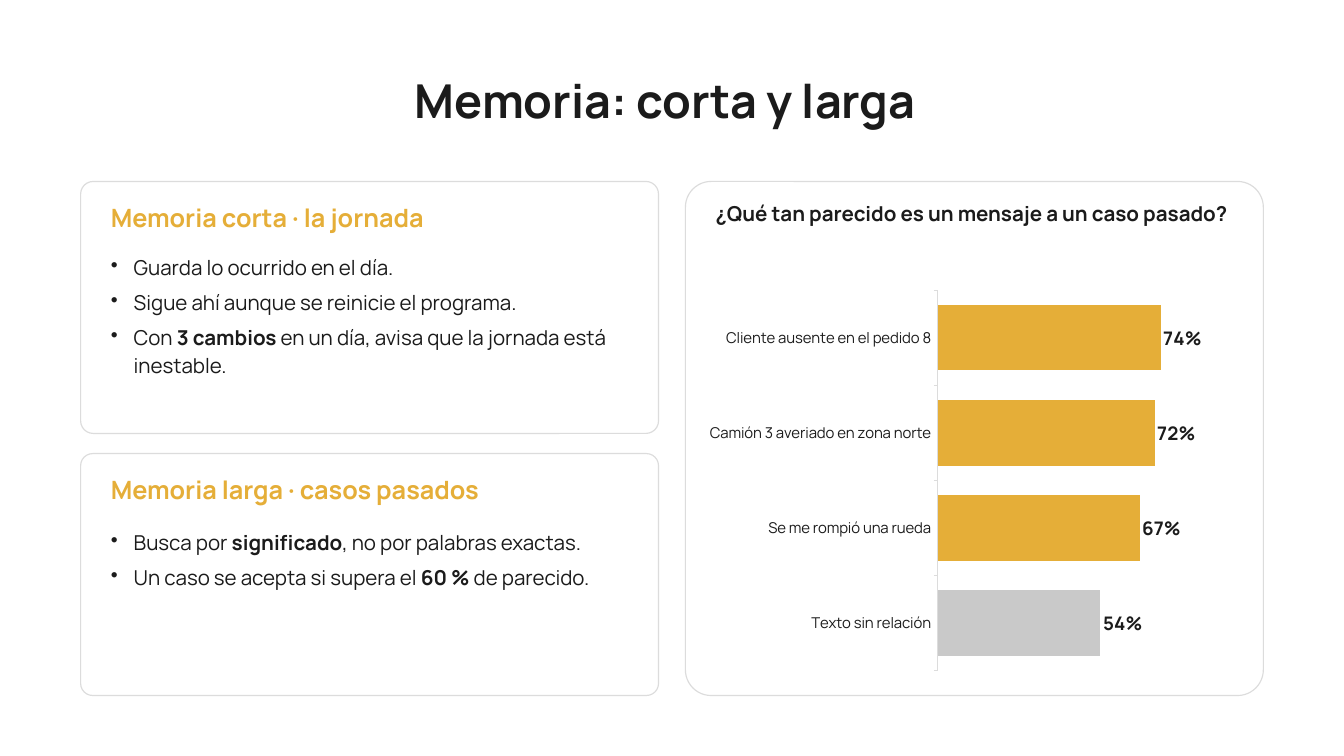
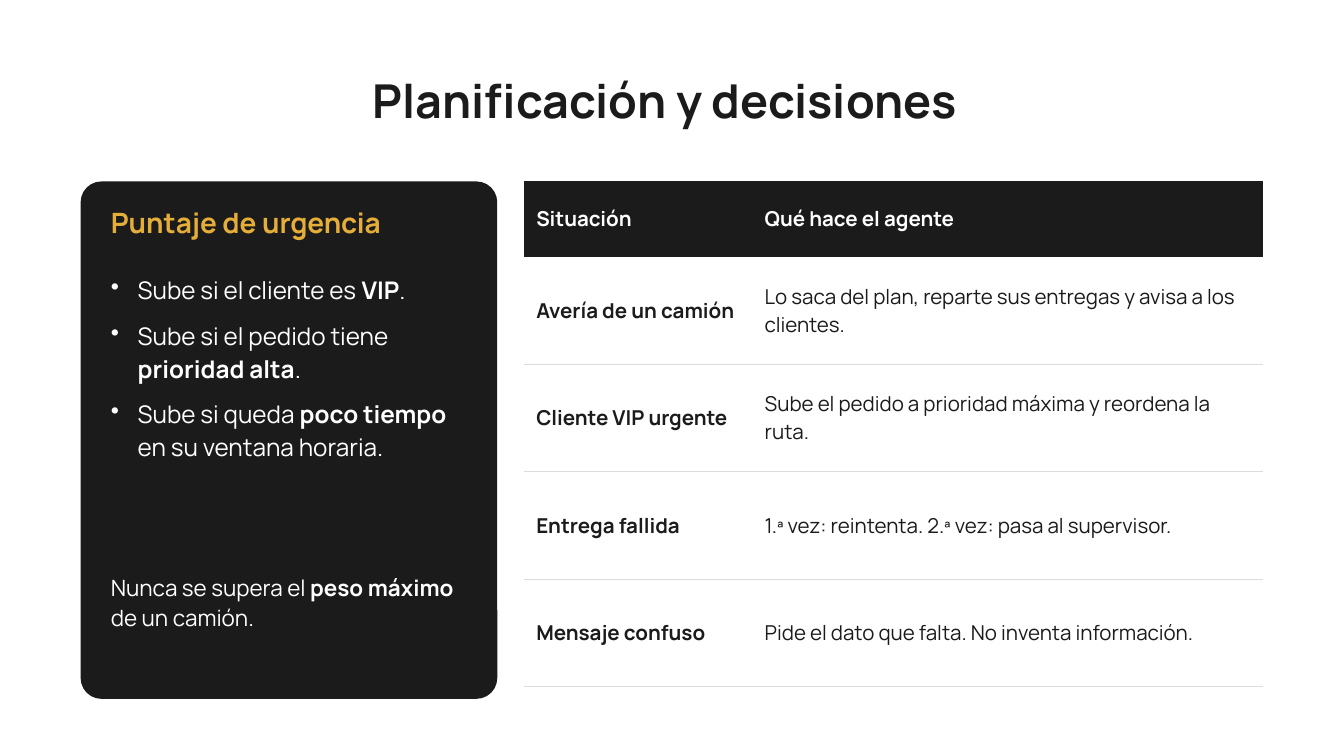
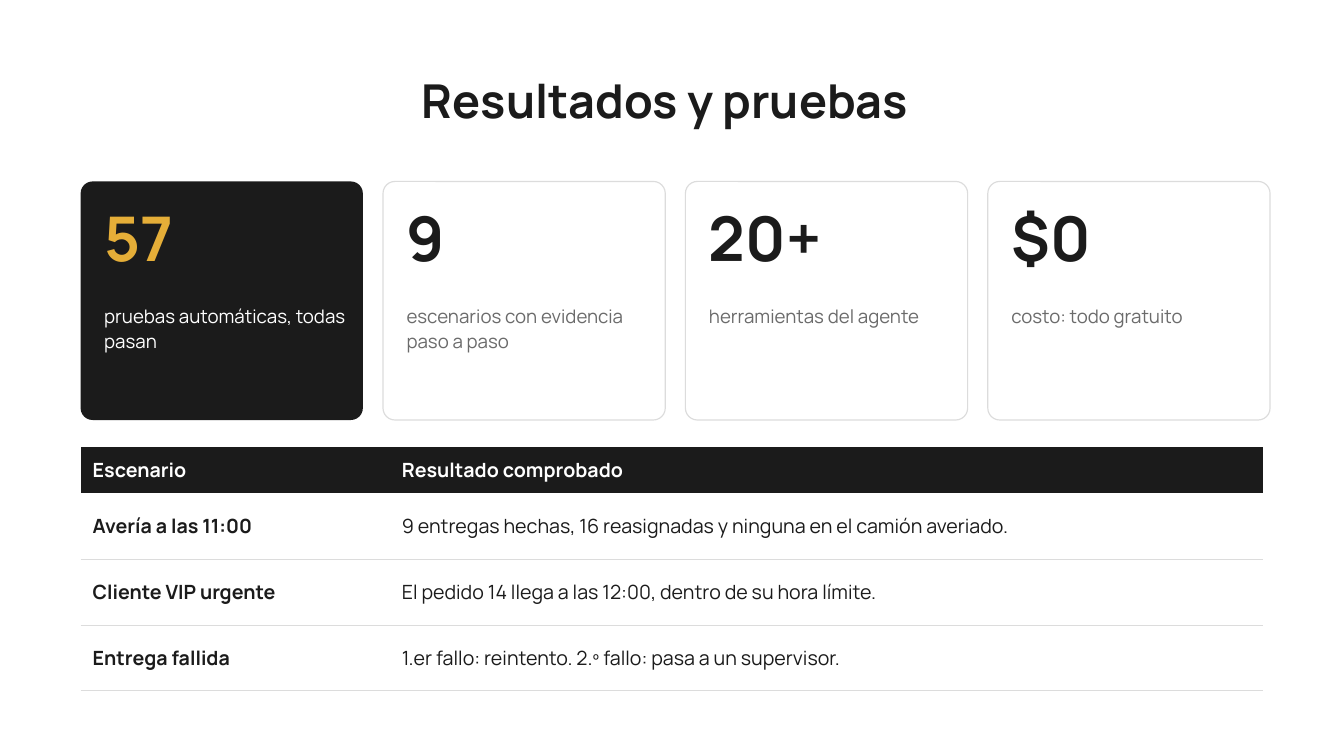
from lxml import etree
from pptx import Presentation
from pptx.chart.data import CategoryChartData
from pptx.dml.color import RGBColor
from pptx.enum.chart import XL_CHART_TYPE, XL_LABEL_POSITION, XL_TICK_MARK
from pptx.enum.shapes import MSO_SHAPE
from pptx.enum.text import MSO_ANCHOR, MSO_AUTO_SIZE, PP_ALIGN
from pptx.oxml.ns import qn
from pptx.util import Inches, Pt

ROUND = MSO_SHAPE.ROUNDED_RECTANGLE
BAR = XL_CHART_TYPE.BAR_CLUSTERED
OUT_END = XL_LABEL_POSITION.OUTSIDE_END
TICK_OUT = XL_TICK_MARK.OUTSIDE
TOP, MIDDLE = MSO_ANCHOR.TOP, MSO_ANCHOR.MIDDLE
LEFT, CENTER = PP_ALIGN.LEFT, PP_ALIGN.CENTER
GROW = MSO_AUTO_SIZE.SHAPE_TO_FIT_TEXT

FONT = "Manrope"
INK, GOLD, WHITE = "1B1B1B", "E5AE38", "FFFFFF"
RULE, GREY, MUTED = "DCDCDC", "6B6B6B", "C9C9C9"
NO_GRID = "{2D5ABB26-0587-4C30-8999-92F81FD0307C}"
EDGE, HEAD_Y = 1.2, 2.7  # left margin and top of the content


def color(code):
    return RGBColor.from_string(code)


def paint(fill, code):
    fill.solid()
    fill.fore_color.rgb = color(code)


def style(font, size, code, bold=False):
    font.name, font.size, font.bold = FONT, Pt(size), bold
    font.color.rgb = color(code)


def write(para, text, size, code, bold=False):
    """Fill a paragraph; words between ** marks are bold."""
    for i, part in enumerate(text.split("**")):
        if part:
            run = para.add_run()
            run.text = part
            style(run.font, size, code, bold or i % 2 == 1)


def indent(para, depth):
    props = para._p.get_or_add_pPr()
    props.set("marL", str(Inches(depth)))
    props.set("indent", str(Inches(-depth)))
    etree.SubElement(props, qn("a:buChar")).set("char", "•")


def add_text(slide, box, lines, size, code=INK, bold=False, gap=8, depth=0,
             align=LEFT, anchor=TOP, lead=1.12):
    frame = slide.shapes.add_textbox(*map(Inches, box)).text_frame
    frame.word_wrap, frame.auto_size = True, GROW
    frame.vertical_anchor = anchor
    frame.margin_left = frame.margin_right = 0
    frame.margin_top = frame.margin_bottom = 0
    for i, line in enumerate(lines):
        para = frame.add_paragraph() if i else frame.paragraphs[0]
        para.alignment, para.line_spacing = align, lead
        para.space_after = Pt(gap)
        if depth:
            indent(para, depth)
        write(para, line, size, code, bold)


def add_card(slide, box, dark=False):
    card = slide.shapes.add_shape(ROUND, *map(Inches, box))
    card.shadow.inherit = False
    card.adjustments[0] = 0.05
    paint(card.fill, INK if dark else WHITE)
    if dark:
        card.line.fill.background()
    else:
        card.line.color.rgb = color(RULE)
        card.line.width = Pt(1.25)


def add_slide(deck, title):
    slide = deck.slides.add_slide(deck.slide_layouts[6])
    paint(slide.background.fill, WHITE)
    add_text(slide, (2.4, 0.78, 15, 1.4), [title], 50, bold=True, gap=0,
             align=CENTER, anchor=MIDDLE, lead=None)
    return slide


def rule_below(cell):
    line = etree.Element(qn("a:lnB"), w=str(Pt(1)))
    fill = etree.SubElement(line, qn("a:solidFill"))
    etree.SubElement(fill, qn("a:srgbClr")).set("val", RULE)
    cell._tc.get_or_add_tcPr().insert(0, line)


def add_grid(slide, left, top, cols, head, step, rows, size):
    """Table with a dark header row and ruled rows of equal height."""
    highs = [head] + [step] * (len(rows) - 1)
    box = (left, top, sum(cols), sum(highs))
    table = slide.shapes.add_table(len(rows), len(cols),
                                   *map(Inches, box)).table
    table.first_row = table.horz_banding = False
    table._tbl.tblPr.find(qn("a:tableStyleId")).text = NO_GRID
    for col, width in zip(table.columns, cols):
        col.width = Inches(width)
    for r, (row, high) in enumerate(zip(rows, highs)):
        table.rows[r].height = Inches(high)
        for c, text in enumerate(row):
            cell = table.cell(r, c)
            cell.vertical_anchor = MIDDLE
            cell.margin_left = cell.margin_right = Inches(0.18)
            cell.margin_top = cell.margin_bottom = Inches(0.06)
            paint(cell.fill, WHITE if r else INK)
            if r:
                rule_below(cell)
            write(cell.text_frame.paragraphs[0], text, size,
                  INK if r else WHITE, r == 0 or c == 0)


# Memory slide
def add_memo(slide, box, title, drop, lines):
    x, y, w, h = box
    add_card(slide, box)
    add_text(slide, (x + 0.45, y + 0.25, w - 0.9, 0.7), [title], 27, GOLD,
             True)
    add_text(slide, (x + 0.45, y + drop, w - 0.8, h - drop - 0.1), lines, 22,
             depth=0.34)


def add_bars(slide, box, title, cases):
    x, y, w, h = box
    add_card(slide, box)
    add_text(slide, (x + 0.45, y + 0.25, w - 0.8, 1.2), [title], 22,
             bold=True, gap=0)
    data = CategoryChartData()
    data.categories = [name for name, _, _ in cases]
    data.add_series("Series 1", [value for _, value, _ in cases])
    area = (x + 0.2, y + 1.5, w - 0.4, h - 1.75)
    chart = slide.shapes.add_chart(BAR, *map(Inches, area), data).chart
    style(chart.font, 16, INK)
    chart.has_legend = chart.has_title = False

    # Axes
    names, scale = chart.category_axis, chart.value_axis
    names.reverse_order = True
    names.has_major_gridlines = scale.has_major_gridlines = False
    names.major_tick_mark = TICK_OUT
    names.format.line.color.rgb = color(RULE)
    names.format.line.width = Pt(0.75)
    style(names.tick_labels.font, 16, INK)
    scale.minimum_scale, scale.maximum_scale = 0, 100
    scale.visible = False

    # Bars and labels
    plot = chart.plots[0]
    plot.gap_width, plot.vary_by_categories = 45, False
    plot.has_data_labels = True
    labels = plot.data_labels
    labels.show_value, labels.position = True, OUT_END
    labels.number_format, labels.number_format_is_linked = '0"%"', False
    style(labels.font, 20, INK, True)
    for i, (_, _, code) in enumerate(cases):
        paint(plot.series[0].points[i].format.fill, code)


def memory(deck):
    slide = add_slide(deck, "Memoria: corta y larga")
    add_memo(slide, (EDGE, HEAD_Y, 8.6, 3.75), "Memoria corta · la jornada",
             1.05, ["Guarda lo ocurrido en el día.",
                    "Sigue ahí aunque se reinicie el programa.",
                    "Con **3 cambios** en un día, avisa que la jornada "
                    "está inestable."])
    add_memo(slide, (EDGE, 6.75, 8.6, 3.6), "Memoria larga · casos pasados",
             1.1, ["Busca por **significado**, no por palabras exactas.",
                   "Un caso se acepta si supera el **60 %** de parecido."])
    add_bars(slide, (10.2, HEAD_Y, 8.6, 7.65),
             "¿Qué tan parecido es un mensaje a un caso pasado?",
             [("Cliente ausente en el pedido 8", 74, GOLD),
              ("Camión 3 averiado en zona norte", 72, GOLD),
              ("Se me rompió una rueda", 67, GOLD),
              ("Texto sin relación", 54, MUTED)])


# Planning slide
def add_score(slide, box, title, lines, note):
    x, y, w, h = box
    x, wide = x + 0.45, w - 0.8
    add_card(slide, box, dark=True)
    add_text(slide, (x, y + 0.3, wide, 0.9), [title], 30, GOLD, True)
    add_text(slide, (x, y + 1.35, wide, 3.8), lines, 26, WHITE, gap=14,
             depth=0.4)
    add_text(slide, (x, y + h - 1.9, wide, 1.7), [note], 24, WHITE)


def planning(deck):
    slide = add_slide(deck, "Planificación y decisiones")
    add_score(slide, (EDGE, HEAD_Y, 6.2, 7.7), "Puntaje de urgencia",
              ["Sube si el cliente es **VIP**.",
               "Sube si el pedido tiene **prioridad alta**.",
               "Sube si queda **poco tiempo** en su ventana horaria."],
              "Nunca se supera el **peso máximo** de un camión.")
    add_grid(slide, 7.8, HEAD_Y, [3.4, 7.6], 1.12, 1.6, [
        ("Situación", "Qué hace el agente"),
        ("Avería de un camión",
         "Lo saca del plan, reparte sus entregas y avisa a los clientes."),
        ("Cliente VIP urgente",
         "Sube el pedido a prioridad máxima y reordena la ruta."),
        ("Entrega fallida",
         "1.ª vez: reintenta. 2.ª vez: pasa al supervisor."),
        ("Mensaje confuso",
         "Pide el dato que falta. No inventa información."),
    ], 22)


# Results slide
def add_stat(slide, box, value, label, dark):
    x, y, w, _ = box
    add_card(slide, box, dark)
    add_text(slide, (x + 0.35, y + 0.15, w - 0.6, 1.5), [value], 66,
             GOLD if dark else INK, True)
    add_text(slide, (x + 0.35, y + 1.8, w - 0.6, 1.6), [label], 20,
             WHITE if dark else GREY)


def results(deck):
    slide = add_slide(deck, "Resultados y pruebas")
    stats = [("57", "pruebas automáticas, todas pasan"),
             ("9", "escenarios con evidencia paso a paso"),
             ("20+", "herramientas del agente"),
             ("$0", "costo: todo gratuito")]
    for i, (value, label) in enumerate(stats):
        add_stat(slide, (EDGE + 4.5 * i, HEAD_Y, 4.2, 3.55), value, label,
                 dark=i == 0)
    add_grid(slide, EDGE, 6.65, [4.6, 13], 0.69, 0.98, [
        ("Escenario", "Resultado comprobado"),
        ("Avería a las 11:00",
         "9 entregas hechas, 16 reasignadas y ninguna en el camión averiado."),
        ("Cliente VIP urgente",
         "El pedido 14 llega a las 12:00, dentro de su hora límite."),
        ("Entrega fallida",
         "1.er fallo: reintento. 2.º fallo: pasa a un supervisor."),
    ], 21)


def main():
    deck = Presentation()
    deck.slide_width, deck.slide_height = Inches(20), Inches(11.25)
    for build in (memory, planning, results):
        build(deck)
    deck.save("out.pptx")


if __name__ == "__main__":
    main()
